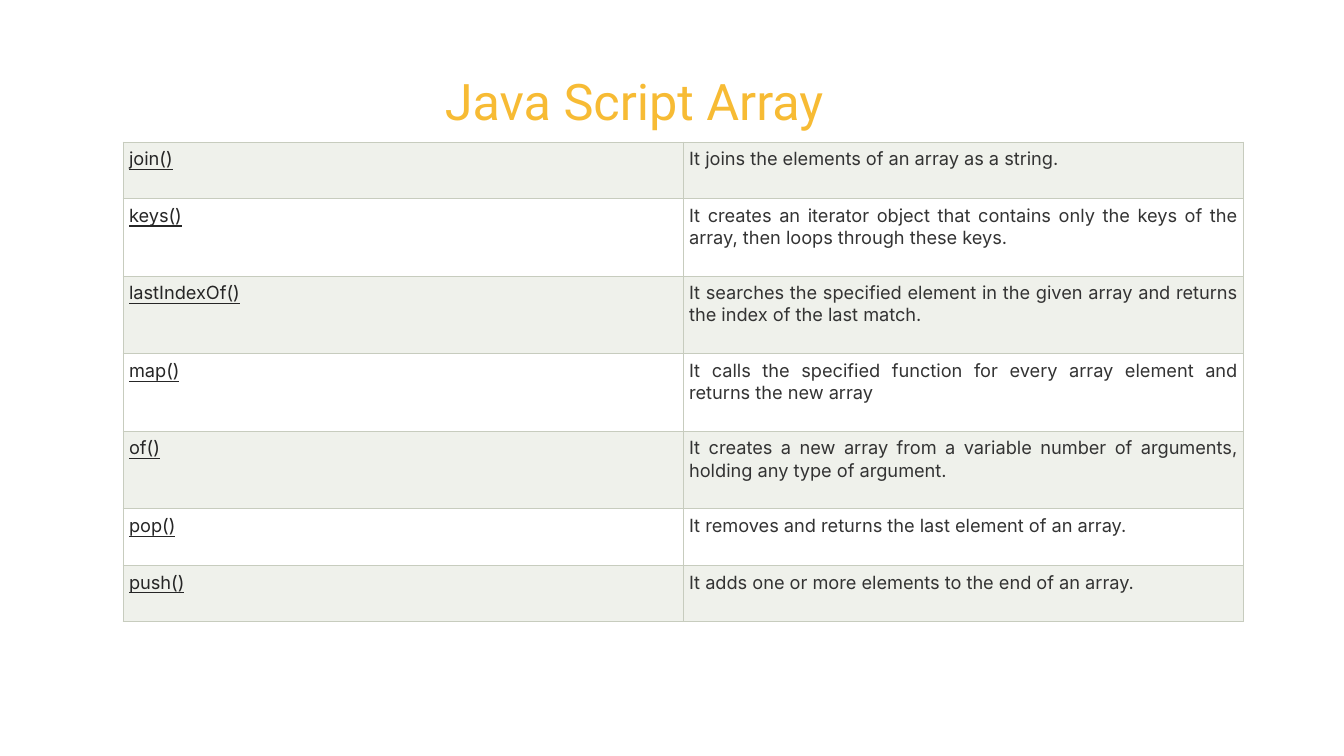
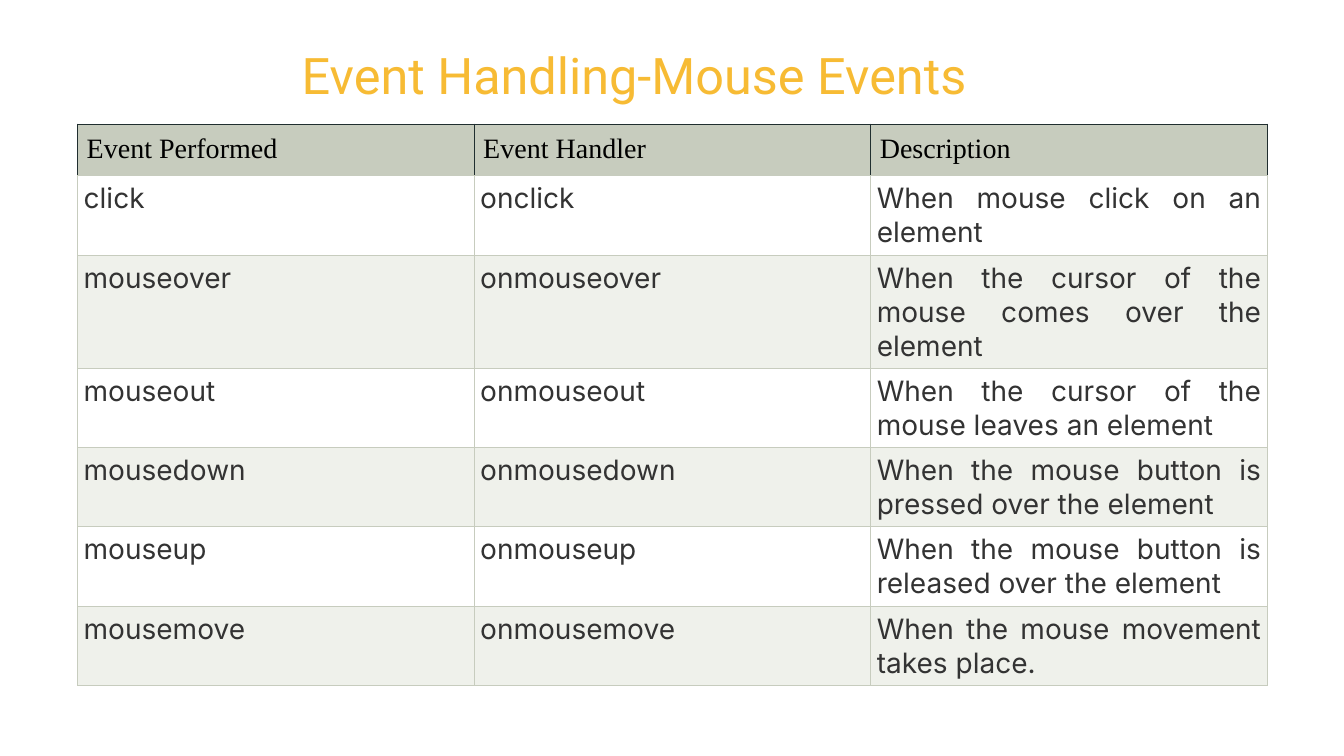
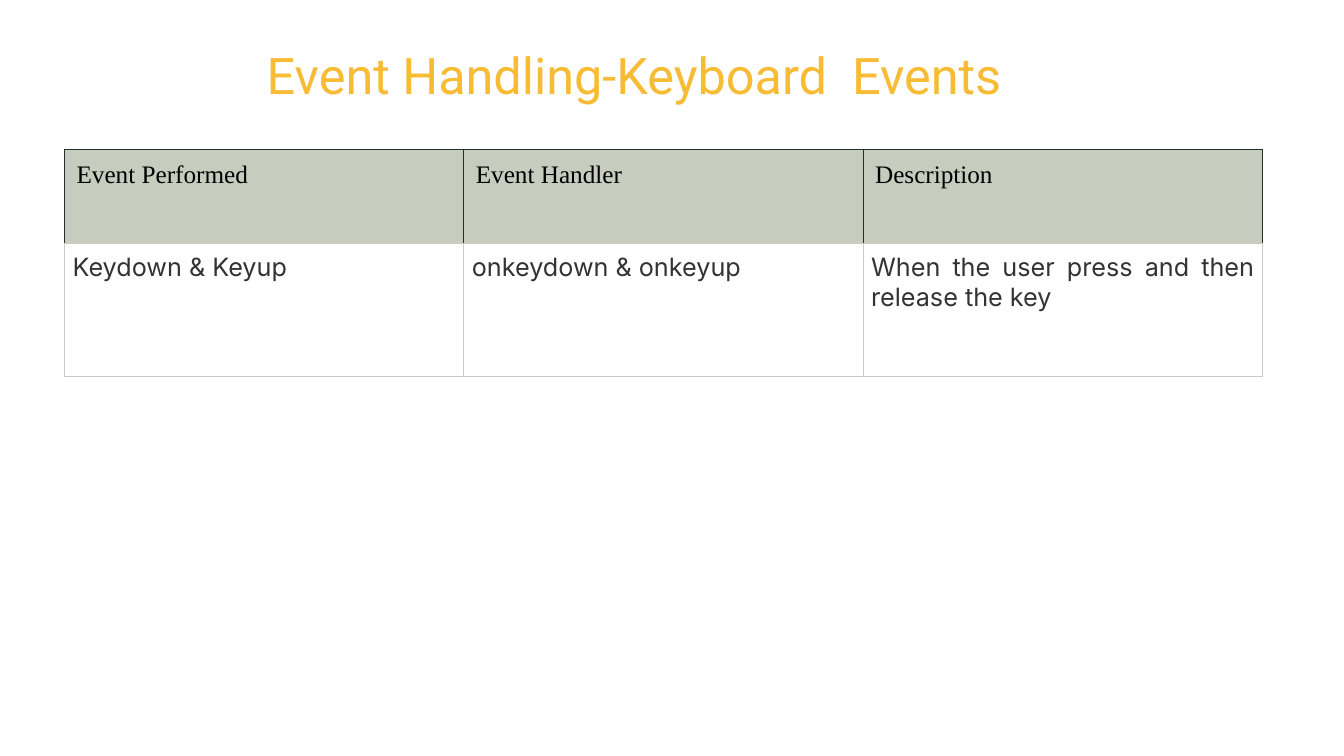
"""Build three slides of JavaScript array methods and event handlers."""
from lxml.etree import SubElement
from pptx import Presentation
from pptx.dml.color import RGBColor
from pptx.enum.text import MSO_ANCHOR, PP_ALIGN
from pptx.oxml.ns import qn
from pptx.util import Inches, Pt

GOLD, SAGE, PALE, WHITE = "F7BB34", "C7CCBE", "EFF1EB", "FFFFFF"
BLACK, INK, LINK, DARK_LINE = "000000", "333333", "262626", "202E2F"

EVENT_HEADER = ("Event Performed", "Event Handler", "Description")

SLIDES = [
    dict(
        title="Java Script Array", title_top=0.66,
        at=(1.22, 1.41), width=11.11, size=13, margin=0.06,
        heights=(0.56, 0.77, 0.77, 0.77, 0.77, 0.56, 0.56),
        rows=[
            ("join()", "It joins the elements of an array as a string."),
            ("keys()", "It creates an iterator object that contains only the keys of the array, "
                       "then loops through these keys."),
            ("lastIndexOf()", "It searches the specified element in the given array and returns "
                              "the index of the last match."),
            ("map()", "It calls the specified function for every array element and returns "
                      "the new array"),
            ("of()", "It creates a new array from a variable number of arguments, "
                     "holding any type of argument."),
            ("pop()", "It removes and returns the last element of an array."),
            ("push()", "It adds one or more elements to the end of an array."),
        ],
    ),
    dict(
        title="Event Handling-Mouse Events", title_top=0.4,
        at=(0.77, 1.23), width=11.8, size=20, margin=0.06, header_margin=0.09,
        heights=(0.51, 0.76, 0.78, 0.78, 0.78, 0.78, 0.78),
        rows=[
            EVENT_HEADER,
            ("click", "onclick", "When mouse click on an element"),
            ("mouseover", "onmouseover", "When the cursor of the mouse comes over the element"),
            ("mouseout", "onmouseout", "When the cursor of the mouse leaves an element"),
            ("mousedown", "onmousedown", "When the mouse button is pressed over the element"),
            ("mouseup", "onmouseup", "When the mouse button is released over the element"),
            ("mousemove", "onmousemove", "When the mouse movement takes place."),
        ],
    ),
    dict(
        title="Event Handling-Keyboard  Events", title_top=0.4,
        at=(0.64, 1.48), width=11.88, size=18, margin=0.08, header_margin=0.12,
        heights=(0.94, 1.32),
        rows=[
            EVENT_HEADER,
            ("Keydown & Keyup", "onkeydown & onkeyup",
             "When the user press and then release the key"),
        ],
    ),
]


def rgb(color):
    return RGBColor.from_string(color)


def set_fill(s, color):
    s.fill.solid()
    s.fill.fore_color.rgb = rgb(color)


def set_margins(s, inches):
    s.margin_left = s.margin_right = s.margin_top = s.margin_bottom = Inches(inches)


def set_font(p, name, size, color):
    p.font.name, p.font.size = name, Pt(size)
    p.font.color.rgb = rgb(color)


def set_borders(cell, sides, bottom):
    tc_pr = cell._tc.get_or_add_tcPr()
    for tag, color in (("lnL", sides), ("lnR", sides), ("lnT", sides), ("lnB", bottom)):
        line = SubElement(tc_pr, qn(f"a:{tag}"), w=str(Pt(0.75)))
        SubElement(SubElement(line, qn("a:solidFill")), qn("a:srgbClr"), val=color)


def add_title(slide, text, top):
    s = slide.shapes.add_textbox(Inches(0.64), Inches(top), Inches(11.3), Inches(0.75))
    set_fill(s, WHITE)
    tf = s.text_frame
    tf.word_wrap = True
    tf.vertical_anchor = MSO_ANCHOR.MIDDLE
    set_margins(tf, 0.13)
    p = tf.paragraphs[0]
    p.text, p.alignment, p.line_spacing = text, PP_ALIGN.CENTER, 0.9
    set_font(p, "Roboto", 36, GOLD)


def fill_cell(cell, text, size, margin, is_header, is_link, is_shaded):
    set_borders(cell, DARK_LINE if is_header else SAGE, SAGE)
    set_fill(cell, SAGE if is_header else PALE if is_shaded else WHITE)
    set_margins(cell, margin)
    p = cell.text_frame.paragraphs[0]
    p.text = text
    if is_header:
        set_font(p, "Times New Roman", size, BLACK)
    else:
        p.alignment = PP_ALIGN.JUSTIFY
        set_font(p, "Inter", size, LINK if is_link else INK)
        if is_link:
            p.font.underline = True


def add_grid(slide, data):
    rows, heights = data["rows"], data["heights"]
    n_cols = len(rows[0])
    left, top = data["at"]
    table = slide.shapes.add_table(
        len(rows), n_cols, Inches(left), Inches(top),
        Inches(data["width"]), Inches(sum(heights))).table
    table.first_row = table.horz_banding = False
    for column in table.columns:
        column.width = Inches(data["width"] / n_cols)
    has_header = "header_margin" in data
    for i, (texts, height) in enumerate(zip(rows, heights)):
        table.rows[i].height = Inches(height)
        is_header = has_header and i == 0
        margin = data["header_margin"] if is_header else data["margin"]
        for j, text in enumerate(texts):
            fill_cell(table.cell(i, j), text, data["size"], margin, is_header,
                      is_link=not has_header and j == 0, is_shaded=i % 2 == 0)


def main():
    prs = Presentation()
    prs.slide_width, prs.slide_height = Inches(13.33), Inches(7.5)
    for data in SLIDES:
        slide = prs.slides.add_slide(prs.slide_layouts[6])
        add_title(slide, data["title"], data["title_top"])
        add_grid(slide, data)
    prs.save("out.pptx")


if __name__ == "__main__":
    main()
